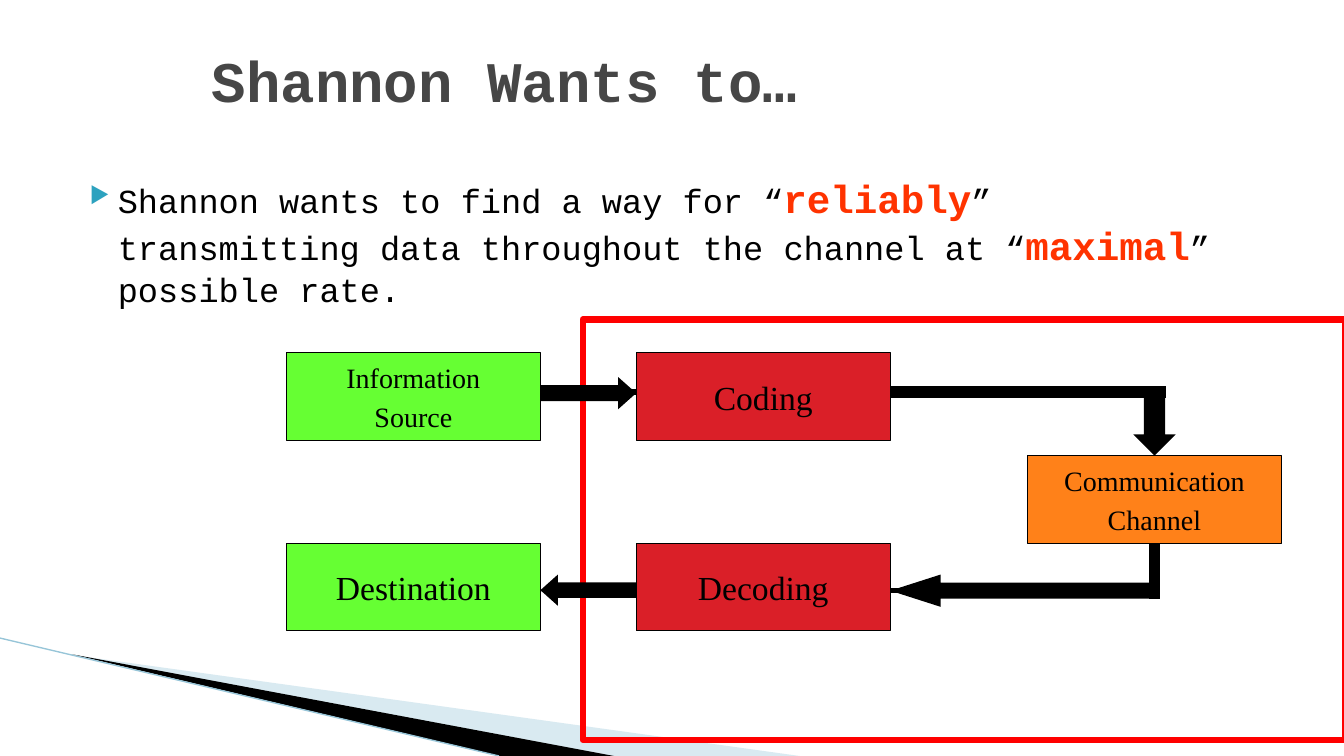
import pptx
import pptx.dml.color
import pptx.enum.shapes
import pptx.enum.text
import pptx.oxml
import pptx.oxml.ns
import pptx.util
from pptx.util import Inches

RGBColor = pptx.dml.color.RGBColor
SHAPE = pptx.enum.shapes.MSO_SHAPE
ALIGN = pptx.enum.text.PP_ALIGN
ANCHOR = pptx.enum.text.MSO_ANCHOR

BLACK = RGBColor(0x00, 0x00, 0x00)
TITLE_GRAY = RGBColor(0x46, 0x46, 0x46)
EMPHASIS = RGBColor(0xFF, 0x33, 0x00)
FRAME_RED = RGBColor(0xFF, 0x00, 0x00)
GREEN = RGBColor(0x66, 0xFF, 0x33)
CODER_RED = RGBColor(0xDA, 0x1F, 0x28)
ORANGE = RGBColor(0xFF, 0x81, 0x19)
PALE_BLUE = RGBColor(0xA0, 0xCB, 0xDC)
EDGE_BLUE = RGBColor(0x97, 0xC5, 0xD8)
BULLET_TEAL = RGBColor(0x2D, 0xA2, 0xBF)

BOX_WIDTH, BOX_HEIGHT = 2.52, 0.87
LEFT_COLUMN, MIDDLE_COLUMN, RIGHT_COLUMN = 2.84, 6.31, 10.19
TOP_ROW, CHANNEL_ROW, BOTTOM_ROW = 3.5, 4.52, 5.39
GAP_START = LEFT_COLUMN + BOX_WIDTH
CODER_RIGHT = MIDDLE_COLUMN + BOX_WIDTH
CHANNEL_X = RIGHT_COLUMN + BOX_WIDTH / 2
FORWARD_Y, RETURN_Y = 3.89, 5.86


def add_xml(parent, tag, **attributes):
    child = pptx.oxml.parse_xml(f"<a:{tag} {pptx.oxml.ns.nsdecls('a')}/>")
    for name, value in attributes.items():
        child.set(name, value)
    parent.append(child)
    return child


def add_run(paragraph, text, font_name, size, color, bold=False):
    run = paragraph.add_run()
    run.text = text
    run.font.name = font_name
    run.font.size = pptx.util.Pt(size)
    run.font.bold = bold
    run.font.color.rgb = color


def add_wedge(slide, points, color, alpha=None):
    builder = slide.shapes.build_freeform(
        Inches(points[0][0]), Inches(points[0][1]), scale=1.0)
    builder.add_line_segments([(Inches(x), Inches(y)) for x, y in points[1:]])
    shape = builder.convert_to_shape()
    shape.shadow.inherit = False
    shape.fill.solid()
    shape.fill.fore_color.rgb = color
    shape.line.fill.background()
    if alpha:
        color_element = shape.fill._xPr.find(".//" + pptx.oxml.ns.qn("a:srgbClr"))
        add_xml(color_element, "alpha", val=str(alpha * 1000))


def add_line(slide, start, end, width, color=BLACK, arrow=False):
    connector = slide.shapes.add_connector(
        pptx.enum.shapes.MSO_CONNECTOR.STRAIGHT,
        *[Inches(value) for value in (*start, *end)])
    connector.line.color.rgb = color
    connector.line.width = pptx.util.Pt(width)
    if arrow:
        add_xml(connector.line._get_or_add_ln(), "tailEnd", type="triangle")
    add_xml(connector._element.spPr, "effectLst")
    return connector


def add_preset(slide, preset, bounds, fill=None, line=None, line_width=0.75):
    shape = slide.shapes.add_shape(preset, *[Inches(value) for value in bounds])
    shape.shadow.inherit = False
    if fill is None:
        shape.fill.background()
    else:
        shape.fill.solid()
        shape.fill.fore_color.rgb = fill
    if line is None:
        shape.line.fill.background()
    else:
        shape.line.color.rgb = line
        shape.line.width = pptx.util.Pt(line_width)
    return shape


def add_block_arrow(slide, preset, bounds, head):
    arrow = add_preset(slide, preset, bounds, BLACK)
    arrow.adjustments[0] = 0.5
    arrow.adjustments[1] = head


def add_stage(slide, left, top, fill, lines, size=24):
    """Add one box of the communication chain."""
    box = add_preset(slide, SHAPE.RECTANGLE,
                     (left, top, BOX_WIDTH, BOX_HEIGHT), fill, BLACK)
    frame = box.text_frame
    frame.word_wrap = False
    frame.vertical_anchor = ANCHOR.MIDDLE
    for index, text in enumerate(lines):
        paragraph = frame.add_paragraph() if index else frame.paragraphs[0]
        paragraph.alignment = ALIGN.CENTER
        if index:
            paragraph.space_before = pptx.util.Pt(0.2 * size)
        add_run(paragraph, text, "Times New Roman", size, BLACK)
    return box


def add_title(slide):
    title = slide.shapes.title
    title.left, title.top = Inches(2), Inches(0.33)
    title.width, title.height = Inches(10.22), Inches(0.92)
    title.text_frame.vertical_anchor = ANCHOR.MIDDLE
    paragraph = title.text_frame.paragraphs[0]
    paragraph.alignment = ALIGN.LEFT
    add_run(paragraph, "Shannon Wants to…", "Courier New", 41, TITLE_GRAY, True)


def add_statement(slide):
    box = slide.shapes.add_textbox(
        Inches(0.67), Inches(1.68), Inches(11.75), Inches(1.45))
    box.text_frame.word_wrap = True
    paragraph = box.text_frame.paragraphs[0]
    properties = paragraph._p.get_or_add_pPr()
    properties.set("marL", str(Inches(0.4)))
    properties.set("indent", str(Inches(-0.28)))
    add_xml(add_xml(properties, "buClr"), "srgbClr", val=str(BULLET_TEAL))
    add_xml(properties, "buSzPct", val="68000")
    add_xml(properties, "buChar", char="▶")
    for text, emphasized in (
            ("Shannon wants to find a way for “", False),
            ("reliably", True),
            ("” transmitting data throughout the channel at “", False),
            ("maximal", True),
            ("” possible rate.", False)):
        add_run(paragraph, text, "Courier New", 28 if emphasized else 24,
                EMPHASIS if emphasized else BLACK, emphasized)


def add_chain(slide):
    add_preset(slide, SHAPE.RECTANGLE, (5.78, 3.17, 7.56, 4.17),
               line=FRAME_RED, line_width=4.5)
    add_line(slide, (CHANNEL_X, RETURN_Y), (GAP_START, RETURN_Y), 4, arrow=True)
    add_line(slide, (GAP_START, FORWARD_Y), (CHANNEL_X, FORWARD_Y), 4)

    add_stage(slide, LEFT_COLUMN, BOTTOM_ROW, GREEN, ["Destination"])
    add_stage(slide, MIDDLE_COLUMN, BOTTOM_ROW, CODER_RED, ["Decoding"])
    channel = add_stage(slide, RIGHT_COLUMN, CHANNEL_ROW, ORANGE,
                        ["Communication", "Channel"], 20)
    add_stage(slide, MIDDLE_COLUMN, TOP_ROW, CODER_RED, ["Coding"])
    add_stage(slide, LEFT_COLUMN, TOP_ROW, GREEN, ["Information", "Source"], 20)

    gap = MIDDLE_COLUMN - GAP_START
    add_block_arrow(slide, SHAPE.RIGHT_ARROW, (GAP_START, 3.74, gap, 0.32), 0.56)
    add_block_arrow(slide, SHAPE.LEFT_ARROW,
                    (CODER_RIGHT, 5.7, CHANNEL_X - CODER_RIGHT, 0.32), 1.56)
    channel_bottom = CHANNEL_ROW + BOX_HEIGHT
    drop = add_line(slide, (CHANNEL_X, channel_bottom), (CHANNEL_X, 5.94), 8)
    drop.begin_connect(channel, 2)
    add_line(slide, (CODER_RIGHT, FORWARD_Y), (11.56, FORWARD_Y), 8)
    add_block_arrow(slide, SHAPE.DOWN_ARROW,
                    (CHANNEL_X - 0.21, FORWARD_Y, 0.42, CHANNEL_ROW - FORWARD_Y), 0.5)
    add_block_arrow(slide, SHAPE.LEFT_ARROW, (GAP_START, 5.7, gap, 0.31), 0.56)


def main():
    presentation = pptx.Presentation()
    presentation.slide_width = Inches(13.33)
    presentation.slide_height = Inches(7.5)
    slide = presentation.slides.add_slide(presentation.slide_layouts[5])
    add_wedge(slide, [(0.73, 6.5), (7.93, 7.5), (6.08, 7.5)], PALE_BLUE, 40)
    add_wedge(slide, [(0.71, 6.49), (6.09, 7.5), (4.96, 7.5)], BLACK)
    add_line(slide, (0, 6.33), (4.95, 7.5), 0.95, EDGE_BLUE)
    add_title(slide)
    add_statement(slide)
    add_chain(slide)
    presentation.save("out.pptx")


if __name__ == "__main__":
    main()
